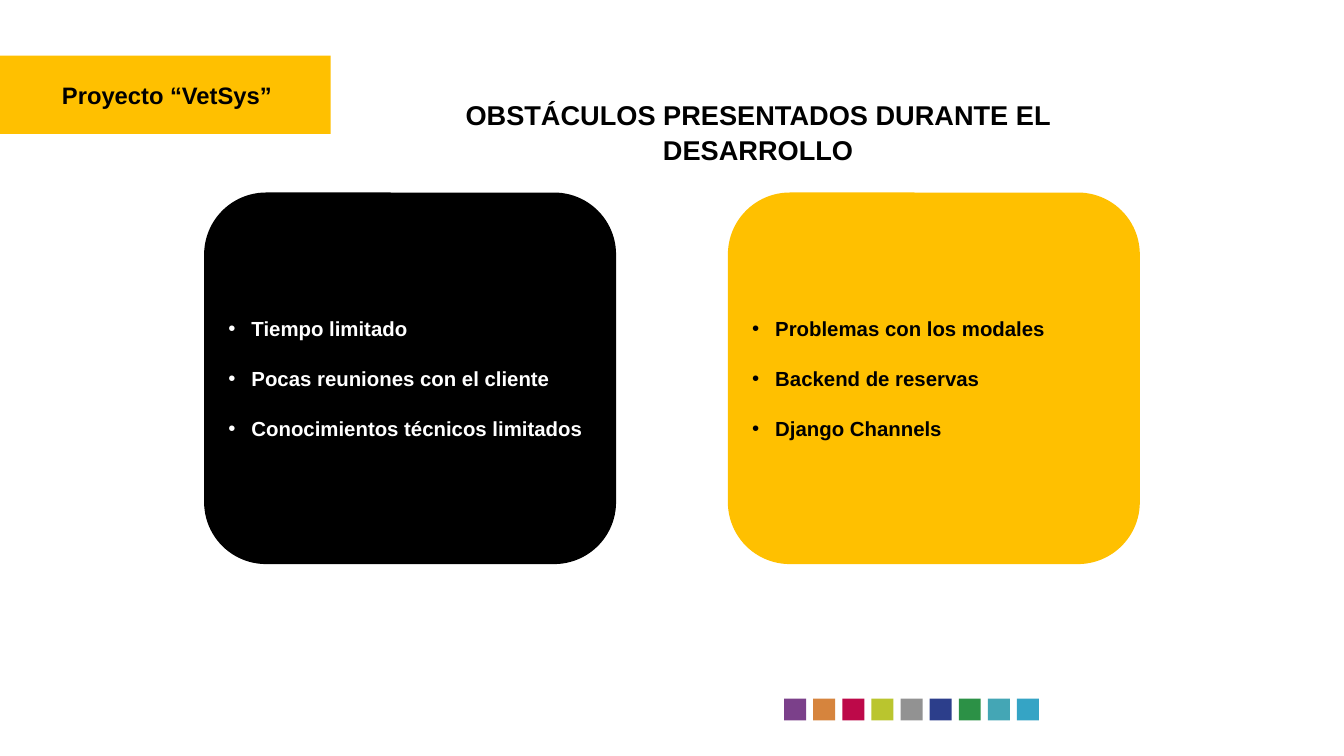
from pptx import Presentation
from pptx.dml.color import RGBColor
from pptx.enum.shapes import MSO_SHAPE
from pptx.enum.text import MSO_ANCHOR, PP_ALIGN
from pptx.oxml.ns import qn
from pptx.util import Inches, Pt
from lxml import etree

RECTANGLE = MSO_SHAPE.RECTANGLE
ROUNDED = MSO_SHAPE.ROUNDED_RECTANGLE
MIDDLE = MSO_ANCHOR.MIDDLE
LEFT = PP_ALIGN.LEFT
CENTER = PP_ALIGN.CENTER

BLACK = RGBColor(0x00, 0x00, 0x00)
WHITE = RGBColor(0xFF, 0xFF, 0xFF)
AMBER = RGBColor(0xFF, 0xC0, 0x00)
SWATCH_COLORS = [
    RGBColor(0x7B, 0x40, 0x8A),
    RGBColor(0xD6, 0x84, 0x3D),
    RGBColor(0xBD, 0x09, 0x49),
    RGBColor(0xBA, 0xC5, 0x2E),
    RGBColor(0x92, 0x92, 0x92),
    RGBColor(0x2C, 0x3E, 0x8B),
    RGBColor(0x2C, 0x91, 0x46),
    RGBColor(0x44, 0xA6, 0xB5),
    RGBColor(0x35, 0xA4, 0xC5),
]


def add_block(slide, kind, left, top, width, height, color):
    block = slide.shapes.add_shape(
        kind, Inches(left), Inches(top), Inches(width), Inches(height))
    block.shadow.inherit = False
    block.fill.solid()
    block.fill.fore_color.rgb = color
    block.line.fill.background()
    return block


def set_font(paragraph, size, color):
    paragraph.font.name = "Arial"
    paragraph.font.size = Pt(size)
    paragraph.font.bold = True
    paragraph.font.color.rgb = color


def add_heading(slide, left, top, width, height, text, size, margin):
    heading = slide.shapes.add_textbox(
        Inches(left), Inches(top), Inches(width), Inches(height))
    frame = heading.text_frame
    frame.word_wrap = True
    frame.margin_left = frame.margin_right = Inches(2 * margin)
    frame.margin_top = frame.margin_bottom = Inches(margin)
    paragraph = frame.paragraphs[0]
    paragraph.text = text
    paragraph.alignment = CENTER
    paragraph.line_spacing = 1.07
    set_font(paragraph, size, BLACK)


def add_project_tag(slide, left, top, width, height):
    add_block(slide, RECTANGLE, left, top, width, height, AMBER)
    add_heading(slide, left + 0.63, top + 0.38, 4.2, 0.47,
                "Proyecto “VetSys”", 28, 0)


def add_bullet(paragraph):
    properties = paragraph._p.get_or_add_pPr()
    indent = Inches(0.38)
    properties.set("marL", str(indent))
    properties.set("indent", str(-indent))
    bullet_font = etree.SubElement(properties, qn("a:buFont"))
    bullet_font.set("typeface", "Arial")
    bullet = etree.SubElement(properties, qn("a:buChar"))
    bullet.set("char", "•")


def add_obstacle_card(slide, left, top, width, height, fill, color, obstacles):
    card = add_block(slide, ROUNDED, left, top, width, height, fill)
    frame = card.text_frame
    frame.word_wrap = True
    frame.vertical_anchor = MIDDLE
    for index, obstacle in enumerate(obstacles):
        paragraph = frame.add_paragraph() if index else frame.paragraphs[0]
        paragraph.text = obstacle
        paragraph.alignment = LEFT
        if index:
            paragraph.space_before = Pt(30)
        add_bullet(paragraph)
        set_font(paragraph, 24, color)


def add_swatches(slide, left, top, width, size):
    pitch = (width - size) / (len(SWATCH_COLORS) - 1)
    for index, color in enumerate(SWATCH_COLORS):
        add_block(slide, RECTANGLE, left + index * pitch, top, size, size, color)


def main():
    presentation = Presentation()
    presentation.slide_width = Inches(21.99)
    presentation.slide_height = Inches(12.37)
    slide = presentation.slides.add_slide(presentation.slide_layouts[6])

    add_project_tag(slide, 0, 0.91, 5.41, 1.28)
    add_heading(slide, 5.9, 1.53, 13.01, 0.64,
                "OBSTÁCULOS PRESENTADOS DURANTE EL DESARROLLO", 32, 0.05)
    add_obstacle_card(slide, 3.34, 3.15, 6.74, 6.08, BLACK, WHITE, [
        "Tiempo limitado",
        "Pocas reuniones con el cliente",
        "Conocimientos técnicos limitados",
    ])
    add_obstacle_card(slide, 11.91, 3.15, 6.74, 6.08, AMBER, BLACK, [
        "Problemas con los modales",
        "Backend de reservas",
        "Django Channels",
    ])
    add_swatches(slide, 12.83, 11.43, 4.17, 0.36)

    presentation.save("out.pptx")


if __name__ == "__main__":
    main()
